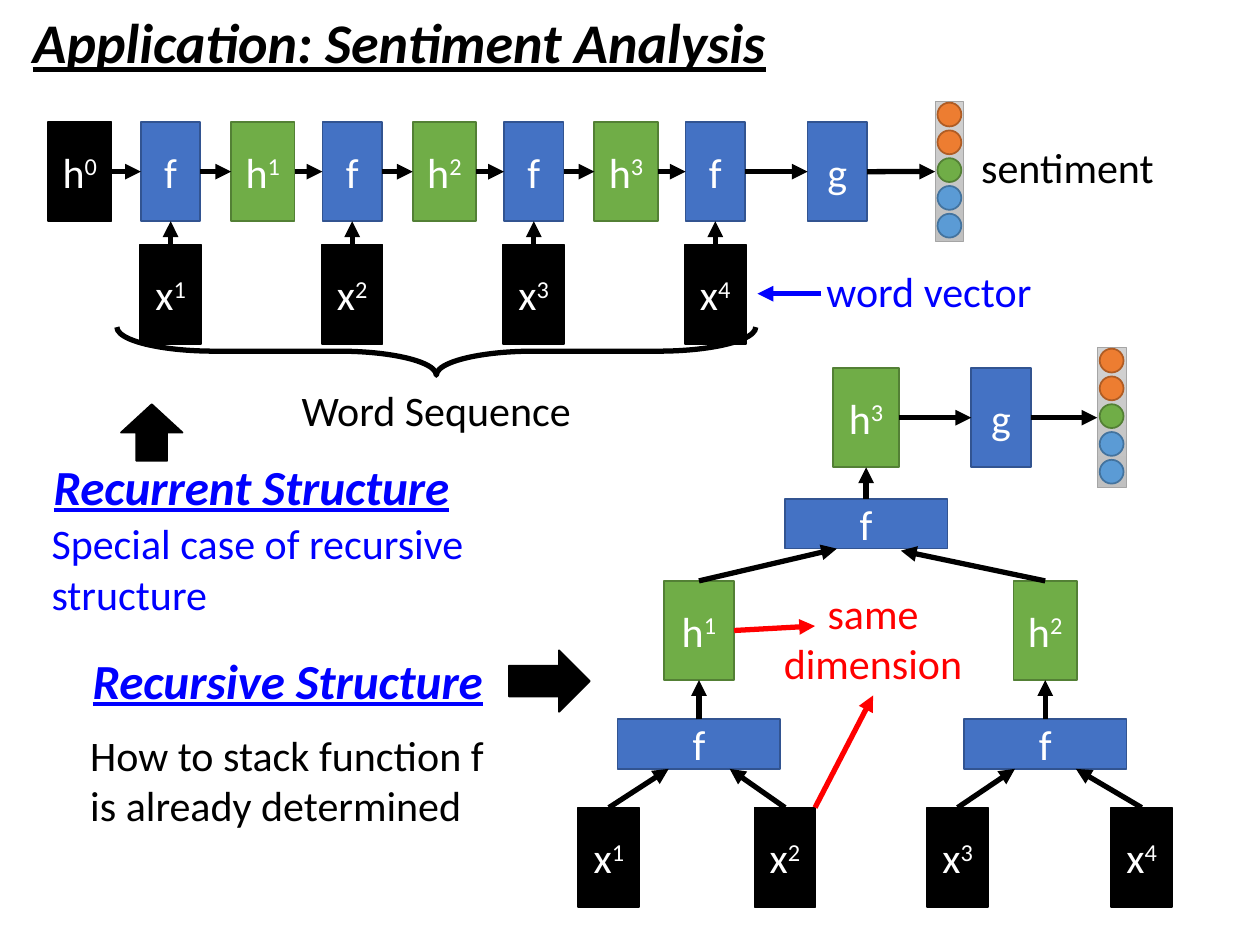
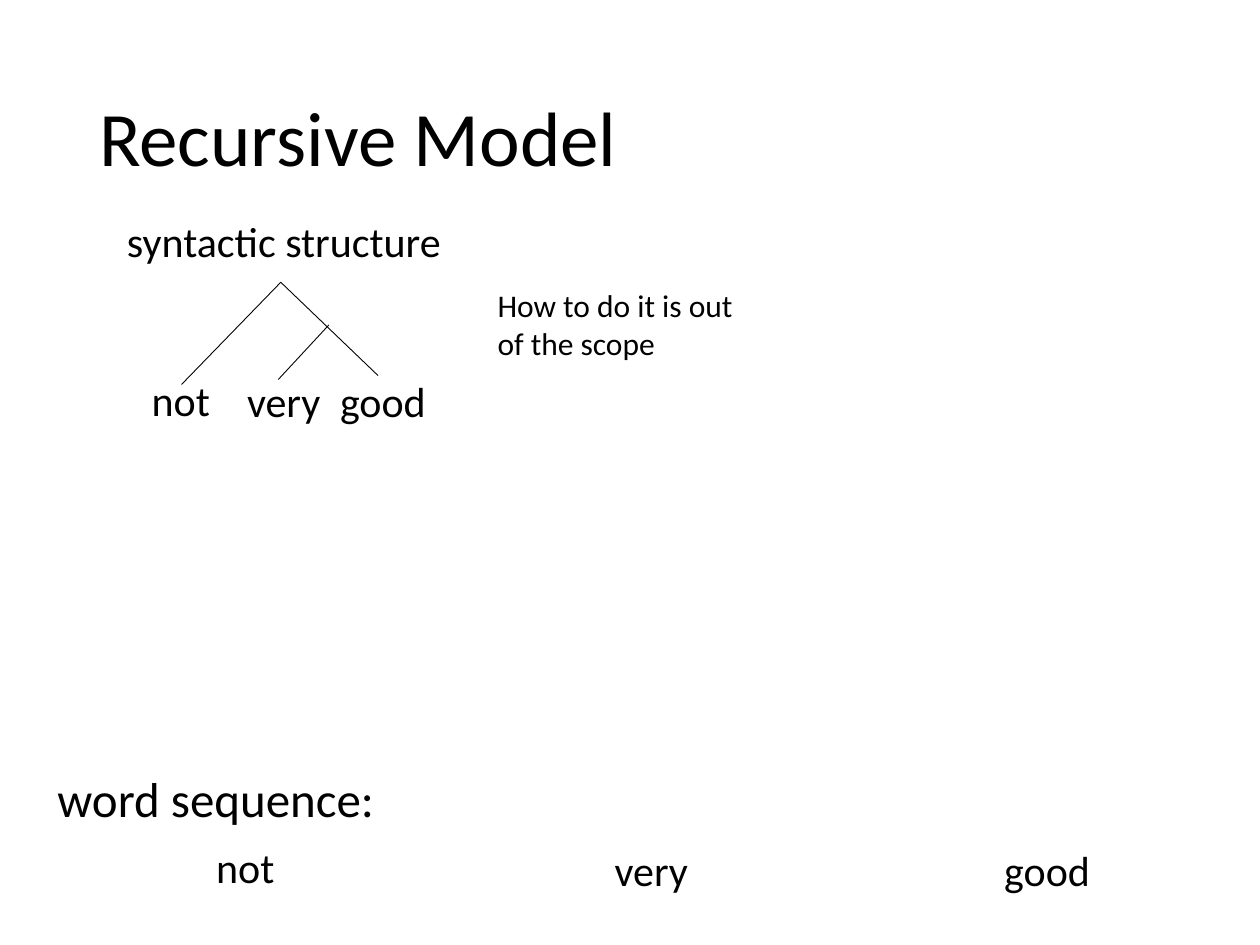
"""Build two slides on recurrent and recursive models for sentiment analysis."""
from lxml import etree
from pptx import Presentation
from pptx import util as u
from pptx.dml import color
from pptx.enum import shapes, text
from pptx.oxml import ns

FONT = "Calibri"
BLACK, WHITE, BLUE, RED = "000000", "FFFFFF", "0000FF", "FF0000"
INPUT = (BLACK, BLACK)
FUNC = ("4472C4", "325491")
HIDDEN = ("70AD47", "538035")
ORANGE = ("ED7D31", "AF5C24")
SKY = ("5B9BD5", "43739E")
TOP, LEFT, BOTTOM, RIGHT = range(4)
BOX_H = 2.0
X_W, F_W, H_W = 1.23, 1.2, 1.28
WIDE_F = (3.28, 1.0)
CENTER = text.PP_ALIGN.CENTER
MSO = shapes.MSO_SHAPE


def rgb(value):
    """Turn a hex string into a colour."""
    return color.RGBColor.from_string(value)


def cm(values):
    """Turn numbers into centimetre lengths."""
    return [u.Cm(v) for v in values]


def add_run(p, words, size, ink, bold=False, raised=False):
    """Add one run; bold text is also italic and underlined."""
    r = p.add_run()
    r.text = words
    r.font.name, r.font.size = FONT, u.Pt(size)
    r.font.color.rgb = rgb(ink)
    if bold:
        r.font.bold = r.font.italic = r.font.underline = True
    if raised:
        r._r.get_or_add_rPr().set("baseline", "30000")


def add_text(parent, at, words, size=24, ink=BLACK, align=None, bold=False):
    """Add a wrapping text box that grows with its text."""
    sp = parent.add_textbox(*cm(at))
    tf = sp.text_frame
    tf.word_wrap = True
    tf.auto_size = text.MSO_AUTO_SIZE.SHAPE_TO_FIT_TEXT
    p = tf.paragraphs[0]
    if align is not None:
        p.alignment = align
    add_run(p, words, size, ink, bold)
    return sp


def add_figure(parent, kind, at, style, width=1, rotation=0):
    """Add a preset shape with a (fill, line) style; no fill if None."""
    sp = parent.add_shape(kind, *cm(at))
    sp.shadow.inherit = False
    sp.rotation = rotation
    fill, line = style
    if fill:
        sp.fill.solid()
        sp.fill.fore_color.rgb = rgb(fill)
    else:
        sp.fill.background()
    sp.line.color.rgb = rgb(line)
    sp.line.width = u.Pt(width)
    return sp


def add_node(parent, left, top, size, style, label, index=""):
    """Add a labelled rectangle of the network."""
    sp = add_figure(parent, MSO.RECTANGLE, (left, top, *size), style)
    tf = sp.text_frame
    tf.word_wrap = False
    tf.vertical_anchor = text.MSO_ANCHOR.MIDDLE
    p = tf.paragraphs[0]
    p.alignment = CENTER
    add_run(p, label, 24, WHITE)
    if index:
        add_run(p, index, 24, WHITE, raised=True)
    return sp


def add_input(parent, left, top, index):
    """Add the box of a word vector."""
    return add_node(parent, left, top, (X_W, BOX_H), INPUT, "x", index)


def add_line(parent, start, end, ink=BLACK, width=3, arrow=True):
    """Draw a line between points or (shape, side) pairs."""
    joins = [hasattr(place[0], "shape_id") for place in (start, end)]
    points = [(0, 0) if joined else place for joined, place in zip(joins, (start, end))]
    cn = parent.add_connector(shapes.MSO_CONNECTOR.STRAIGHT, *cm(points[0] + points[1]))
    if joins[0]:
        cn.begin_connect(*start)
    if joins[1]:
        cn.end_connect(*end)
    cn.line.color.rgb = rgb(ink)
    cn.line.width = u.Pt(width)
    if arrow:
        etree.SubElement(cn.line._get_or_add_ln(), ns.qn("a:tailEnd"), type="triangle")
    etree.SubElement(cn._element.spPr, ns.qn("a:effectLst"))


def add_output(parent, left, top):
    """Add the strip of five output units and return its frame."""
    grp = parent.add_group_shape().shapes
    frame = add_figure(grp, MSO.RECTANGLE, (left, top, 0.58, 2.82), ("D2D2D2", "A5A5A5"), 0.5)
    frame.fill.gradient()
    frame.fill.gradient_angle = 270
    for stop, shade in zip(frame.fill.gradient_stops, ("D2D2D2", "C0C0C0")):
        stop.color.rgb = rgb(shade)
    for i, style in enumerate((ORANGE, ORANGE, HIDDEN, SKY, SKY)):
        add_figure(grp, MSO.OVAL, (left + 0.05, top + 0.02 + 0.56 * i, 0.48, 0.48), style)
    return frame


def draw_recurrent(parent):
    """Draw the chain that reads one word after another."""
    top, step = 2.46, 3.66
    chain = [add_node(parent, 0.97, top, (H_W, BOX_H), INPUT, "h", "0")]
    for i in range(4):
        left = 2.84 + step * i
        func = add_node(parent, left, top, (F_W, BOX_H), FUNC, "f")
        word = add_input(parent, left + (F_W - X_W) / 2, 4.93, str(i + 1))
        add_line(parent, (word, TOP), (func, BOTTOM))
        chain.append(func)
        if i < 3:
            chain.append(add_node(parent, 4.66 + step * i, top, (H_W, BOX_H),
                                  HIDDEN, "h", str(i + 1)))
    chain.append(add_node(parent, 16.28, top, (F_W, BOX_H), FUNC, "g"))
    chain.append(add_output(parent, 18.85, 2.05))
    for before, after in zip(chain, chain[1:]):
        add_line(parent, (before, RIGHT), (after, LEFT))
    add_text(parent, (19.53, 2.72, 4.04, 1.27), "sentiment")
    brace = add_figure(parent, MSO.RIGHT_BRACE, (8.31, 0.64, 0.97, 12.88), (None, BLACK), 3, 90)
    brace.adjustments[0] = 2.03
    add_text(parent, (5.44, 7.62, 6.71, 1.27), "Word Sequence", align=CENTER)
    grp = parent.add_group_shape().shapes
    add_text(grp, (16.41, 5.23, 4.8, 1.27), "word vector", ink=BLUE)
    add_line(grp, (16.56, 5.92), (15.27, 5.92), BLUE)


def draw_branch(parent, left, h_width, word_lefts, first):
    """Draw f over two words with its result and return h and both words."""
    func = add_node(parent, left, 14.5, WIDE_F, FUNC, "f")
    words = [add_input(parent, x, 16.28, str(first + i)) for i, x in enumerate(word_lefts)]
    for word, end in zip(words, (left + 1.03, left + 2.26)):
        add_line(parent, (word, TOP), (end, 15.5))
    hidden = add_node(parent, left + (WIDE_F[0] - h_width) / 2, 11.71, (h_width, BOX_H),
                      HIDDEN, "h", str(first // 2 + 1))
    add_line(parent, (func, TOP), (hidden, BOTTOM))
    return hidden, words


def draw_recursive(parent):
    """Draw the tree that merges words pair by pair."""
    h1, words = draw_branch(parent, 12.45, 1.42, (11.66, 15.21), 1)
    h2, _ = draw_branch(parent, 19.43, H_W, (18.69, 22.4), 3)
    root = add_node(parent, 15.82, 10.06, WIDE_F, FUNC, "f")
    h3 = add_node(parent, 16.8, 7.42, (1.32, BOX_H), HIDDEN, "h", "3")
    g = add_node(parent, 19.58, 7.42, (F_W, BOX_H), FUNC, "g")
    output = add_output(parent, 22.12, 7.01)
    add_line(parent, (h1, TOP), (16.87, 11.06))
    add_line(parent, (h2, TOP), (18.16, 11.1))
    add_line(parent, (root, TOP), (h3, BOTTOM))
    add_line(parent, (h3, RIGHT), (g, LEFT))
    add_line(parent, (g, RIGHT), (output, LEFT))
    add_text(parent, (15.39, 11.71, 4.42, 2.31), "same dimension", ink=RED, align=CENTER)
    add_line(parent, (h1, RIGHT), (16.43, 12.62), RED)
    add_line(parent, (16.43, 16.28), (17.6, 14.02), RED)


def build_application(sld):
    """Compare the recurrent and the recursive structure."""
    parent = sld.shapes
    add_text(parent, (0.41, 0.03, 15.7, 1.63), "Application: Sentiment Analysis", 32, bold=True)
    draw_recurrent(parent)
    draw_recursive(parent)
    for left, top, name in ((0.08, 9.07, "Recurrent Structure"), (0.81, 12.98, "Recursive Structure")):
        add_text(parent, (left, top, 9.98, 1.45), name, 28, BLUE, CENTER, True)
    add_text(parent, (0.79, 10.31, 10.31, 2.31), "Special case of recursive structure", ink=BLUE)
    add_text(parent, (1.57, 14.58, 9.09, 2.31), "How to stack function f is already determined")
    add_figure(parent, MSO.RIGHT_ARROW, (10.26, 13.11, 1.63, 1.24), INPUT)
    add_figure(parent, MSO.RIGHT_ARROW, (2.49, 8.1, 1.14, 1.24), INPUT, rotation=270)


def build_model(sld):
    """Show the syntax tree and the word sequence."""
    parent = sld.shapes
    title = add_text(parent, (1.75, 1.02, 21.89, 3.68), "Recursive Model", 44)
    title.text_frame.auto_size = text.MSO_AUTO_SIZE.NONE
    title.text_frame.vertical_anchor = text.MSO_ANCHOR.MIDDLE
    title.text_frame.paragraphs[0].line_spacing = 0.9
    title.height = u.Cm(3.68)

    grp = parent.add_group_shape().shapes
    tree_places = ((2.64, 7.42, 2.01), (4.22, 7.44, 3.0), (6.22, 7.44, 3.0))
    row_places = ((3.94, 16.84, 2.01), (11.63, 16.89, 3.0), (19.61, 16.89, 3.0))
    for target, places in ((grp, tree_places), (parent, row_places)):
        for word, (left, top, width) in zip(("not", "very", "good"), places):
            add_text(target, (left, top, width, 1.27), word, align=CENTER)
    peak = (5.66, 5.69)
    for start, end in ((peak, (7.62, 7.57)), ((5.61, 7.65), (6.63, 6.55)), (peak, (3.66, 7.75))):
        add_line(grp, start, end, width=0.5, arrow=False)

    add_text(parent, (1.98, 4.22, 7.49, 1.27), "syntactic structure", align=CENTER)
    add_text(parent, (0.91, 15.37, 7.47, 1.45), "word sequence:", 28)
    add_text(parent, (9.78, 5.64, 5.77, 1.8), "How to do it is out of the scope", 18)


def main():
    """Build and save the slides."""
    prs = Presentation()
    prs.slide_width, prs.slide_height = cm((25.4, 19.05))
    for build in (build_application, build_model):
        build(prs.slides.add_slide(prs.slide_layouts[6]))
    prs.save("out.pptx")


if __name__ == "__main__":
    main()
